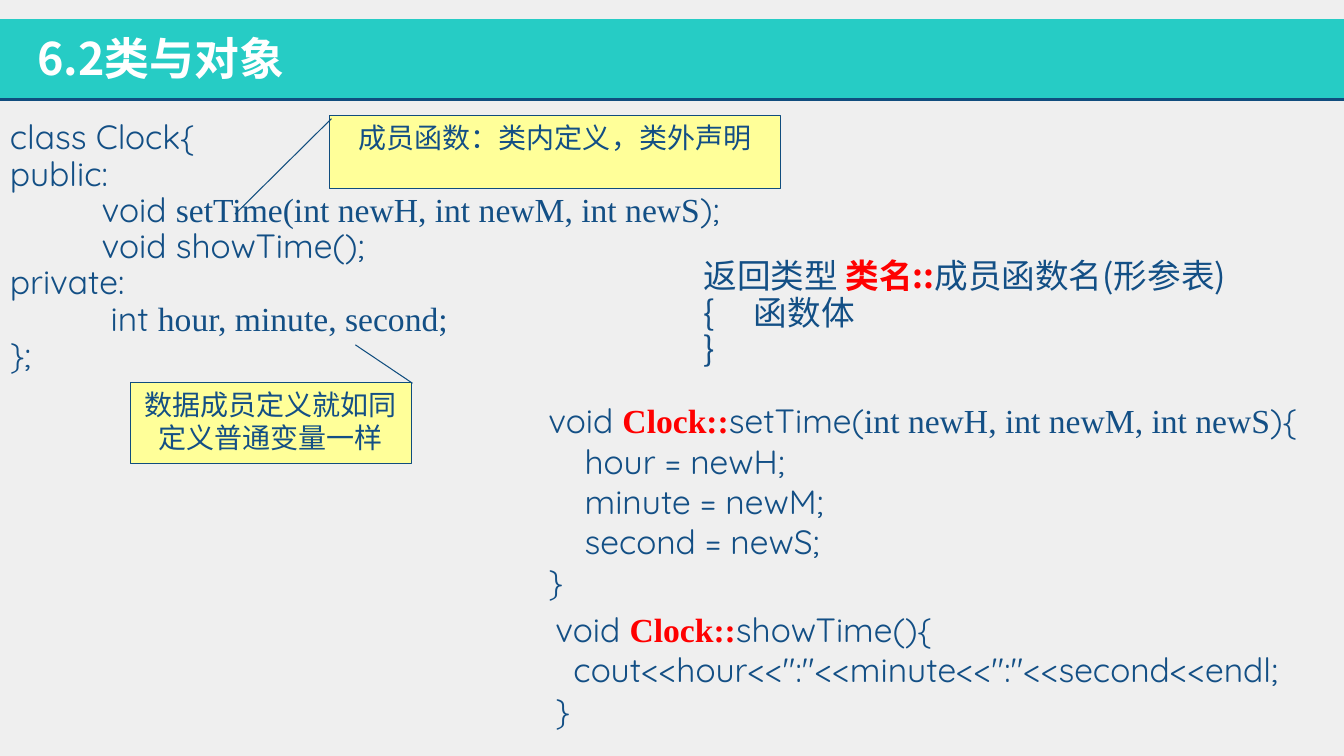
from dataclasses import dataclass

import pptx
import pptx.dml.color
import pptx.enum.shapes
import pptx.enum.text
import pptx.oxml.ns
import pptx.util
from lxml import etree

Inches = pptx.util.Inches
Pt = pptx.util.Pt
qn = pptx.oxml.ns.qn


@dataclass(frozen=True)
class Theme:
    background: str = "EFEFEF"
    band: str = "26CCC5"
    rule: str = "104D7E"
    note: str = "FFFF99"
    ink: str = "134F85"
    accent: str = "FF0000"
    title_ink: str = "FFFFFF"
    title_size: int = 32
    code_size: int = 24
    note_size: int = 20
    code_font: str = "Quicksand"
    serif_font: str = "Times New Roman"
    heading_font: str = "Noto Sans CJK JP"
    note_font: str = "Noto Sans CJK SC"


THEME = Theme()


def rgb(value):
    return pptx.dml.color.RGBColor.from_string(value)


def add_run(paragraph, text, size, font, color=THEME.ink, bold=False):
    run = paragraph.add_run()
    run.text = text
    run.font.size = Pt(size)
    run.font.name = font
    run.font.bold = bold
    run.font.color.rgb = rgb(color)
    etree.SubElement(run.font._element, qn("a:ea"), typeface=font)


def code(text):
    return text, THEME.code_font, THEME.ink, False


def serif(text):
    return text, THEME.serif_font, THEME.ink, False


def scope(text):
    return text, THEME.serif_font, THEME.accent, True


def syntax(text, color=THEME.ink, bold=False):
    return text, THEME.heading_font, color, bold


def add_listing(slide, left, top, width, height, lines, spacing=1.0, tab=None):
    """Each line is its indent in inches followed by its styled pieces."""
    frame = slide.shapes.add_textbox(
        Inches(left), Inches(top), Inches(width), Inches(height)).text_frame
    frame.word_wrap = True
    for number, (indent, *pieces) in enumerate(lines):
        paragraph = frame.add_paragraph() if number else frame.paragraphs[0]
        paragraph.line_spacing = spacing
        properties = paragraph._p.get_or_add_pPr()
        properties.set("marL", str(Inches(indent)))
        properties.set("indent", "0")
        if tab:
            stops = etree.SubElement(properties, qn("a:tabLst"))
            etree.SubElement(stops, qn("a:tab"), pos=str(Inches(tab)), algn="l")
        for text, font, color, bold in pieces:
            add_run(paragraph, text, THEME.code_size, font, color, bold)


def add_callout(slide, left, top, width, height, pointer, text):
    """pointer holds start y, start x, end y, end x as shares of the box."""
    callout = slide.shapes.add_shape(
        pptx.enum.shapes.MSO_SHAPE.LINE_CALLOUT_1,
        Inches(left), Inches(top), Inches(width), Inches(height))
    for index, share in enumerate(pointer):
        callout.adjustments[index] = share
    callout.shadow.inherit = False
    callout.fill.solid()
    callout.fill.fore_color.rgb = rgb(THEME.note)
    callout.line.color.rgb = rgb(THEME.rule)
    callout.line.width = Pt(0.75)
    frame = callout.text_frame
    frame.word_wrap = True
    frame.vertical_anchor = pptx.enum.text.MSO_ANCHOR.TOP
    frame.paragraphs[0].alignment = pptx.enum.text.PP_ALIGN.CENTER
    add_run(frame.paragraphs[0], text, THEME.note_size, THEME.note_font)


def add_header(slide, text):
    band = slide.shapes.add_shape(
        pptx.enum.shapes.MSO_SHAPE.RECTANGLE,
        0, Inches(0.19), Inches(13.33), Inches(0.8))
    band.shadow.inherit = False
    band.fill.solid()
    band.fill.fore_color.rgb = rgb(THEME.band)
    band.line.fill.background()

    rule = slide.shapes.add_connector(
        pptx.enum.shapes.MSO_CONNECTOR.STRAIGHT,
        0, Inches(0.99), Inches(13.33), Inches(0.99))
    rule.line.color.rgb = rgb(THEME.rule)
    rule.line.width = Pt(2)
    etree.SubElement(rule._element.spPr, qn("a:effectLst"))

    title = slide.shapes.title
    title.left, title.top = Inches(0.27), Inches(0.25)
    title.width, title.height = Inches(8.78), Inches(0.64)
    frame = title.text_frame
    frame.auto_size = pptx.enum.text.MSO_AUTO_SIZE.NONE
    frame.vertical_anchor = pptx.enum.text.MSO_ANCHOR.MIDDLE
    frame.paragraphs[0].alignment = pptx.enum.text.PP_ALIGN.LEFT
    add_run(frame.paragraphs[0], text, THEME.title_size,
            THEME.heading_font, THEME.title_ink, True)
    # The title has to lie above the band.
    slide.shapes._spTree.append(title._element)


def main():
    deck = pptx.Presentation()
    deck.slide_width, deck.slide_height = Inches(13.33), Inches(7.5)
    slide = deck.slides.add_slide(deck.slide_layouts[5])
    slide.background.fill.solid()
    slide.background.fill.fore_color.rgb = rgb(THEME.background)
    add_header(slide, "6.2类与对象")

    parameters = serif("int newH, int newM, int newS")
    add_listing(slide, 0, 1.15, 7.9, 2.64, [
        (0, code("class Clock{")),
        (0, code("public:")),
        (0.91, code("void "), serif("setTime(int newH, int newM, int newS"),
         code(");")),
        (0.91, code("void showTime();")),
        (0, code("private:")),
        (1, code("int "), serif("hour, minute, second;")),
        (0, code("};")),
    ], spacing=0.9)
    add_callout(slide, 1.29, 3.79, 2.79, 0.81, (0.015, 1.004, -0.456, 0.801),
                "数据成员定义就如同定义普通变量一样")
    add_listing(slide, 5.34, 3.92, 7.67, 2.12, [
        (0, code("void "), scope("Clock::"), code("setTime("), parameters,
         code("){")),
        (0.36, code("hour = newH;")),
        (0.36, code("minute = newM;")),
        (0.36, code("second = newS;")),
        (0, code("}")),
    ])
    add_listing(slide, 5.41, 5.99, 8.17, 1.31, [
        (0, code("void "), scope("Clock::"), code("showTime(){")),
        (0.18, code('cout<<hour<<":"<<minute<<":"<<second<<endl;')),
        (0, code("}")),
    ])
    add_listing(slide, 6.88, 2.53, 6.14, 1.2, [
        (0, syntax("返回类型 "), syntax("类名::", THEME.accent, True),
         syntax("成员函数名(形参表)")),
        (0, syntax("{\t函数体")),
        (0, syntax("}")),
    ], spacing=0.9, tab=0.42)
    add_callout(slide, 3.27, 1.15, 4.47, 0.72, (0.038, 0.004, 1.354, -0.21),
                "成员函数：类内定义，类外声明")
    deck.save("out.pptx")


if __name__ == "__main__":
    main()
